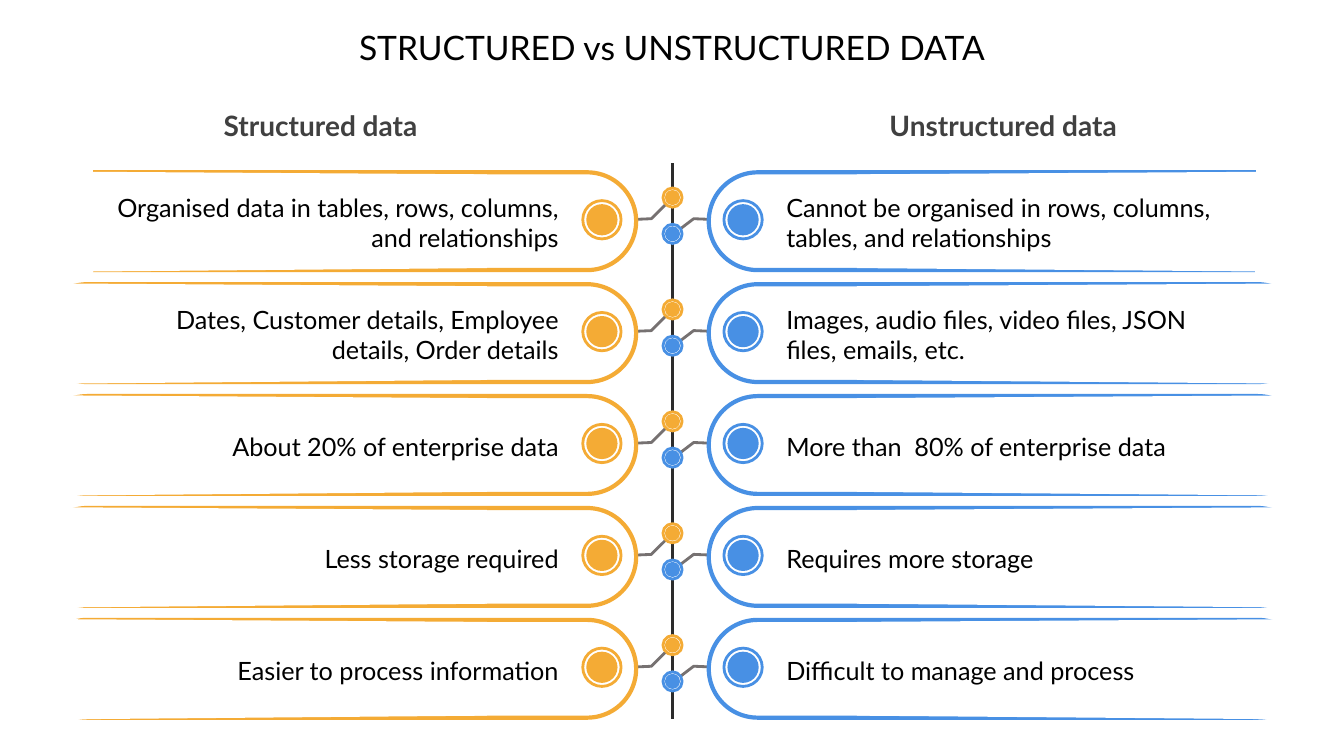
from dataclasses import dataclass

from lxml.etree import SubElement
from pptx import Presentation
from pptx.dml.color import RGBColor
from pptx.enum.shapes import MSO_CONNECTOR, MSO_SHAPE
from pptx.enum.text import MSO_ANCHOR, MSO_AUTO_SIZE, PP_ALIGN
from pptx.oxml.ns import qn
from pptx.util import Inches, Pt

WHITE, BLACK, HEADING, AXIS, ELBOW = "FFFFFF", "000000", "404040", "2C2C2C", "767171"
AXIS_X = 6.67
FIRST_CENTRE, ROW_PITCH = 2.19, 1.11


@dataclass
class Side:
    """Colour, direction and measures of one half of the comparison."""
    colour: str
    direction: int
    align: PP_ALIGN
    node_offset: float
    elbow_offset: float
    fade_inner: float
    fade_outer: float

    def span(self, near, width):
        """Return the left edge of a span that starts near inches from the axis."""
        return AXIS_X + near if self.direction > 0 else AXIS_X - near - width


STRUCTURED = Side("F4AB35", -1, PP_ALIGN.RIGHT, -0.23, -0.23, 4.83, 0.22)
UNSTRUCTURED = Side("4890E4", 1, PP_ALIGN.LEFT, 0.13, 0.14, 8.5, 13.23)

ROWS = [
    ("Organised data in tables, rows, columns, and relationships",
     "Cannot be organised in rows, columns, tables, and relationships"),
    ("Dates, Customer details, Employee details, Order details",
     "Images, audio files, video files, JSON files, emails, etc."),
    ("About 20% of enterprise data", "More than  80% of enterprise data"),
    ("Less storage required", "Requires more storage"),
    ("Easier to process information", "Difficult to manage and process"),
]


def rgb(colour):
    """Turn a hex string into a colour."""
    return RGBColor.from_string(colour)


def paint(shape, fill=None, line=None, width=2):
    """Set the fill and outline of a shape and drop its shadow."""
    shape.shadow.inherit = False
    if fill:
        shape.fill.solid()
        shape.fill.fore_color.rgb = rgb(fill)
    else:
        shape.fill.background()
    if line:
        shape.line.color.rgb = rgb(line)
        shape.line.width = Pt(width)
    else:
        shape.line.fill.background()


def write(shape, text, size=18, colour=BLACK, bold=False, align=PP_ALIGN.LEFT,
          anchor=MSO_ANCHOR.MIDDLE, spacing=None, after=None,
          fit=MSO_AUTO_SIZE.SHAPE_TO_FIT_TEXT):
    """Put one formatted paragraph into a shape."""
    frame = shape.text_frame
    frame.word_wrap = True
    frame.auto_size = fit
    frame.vertical_anchor = anchor
    paragraph = frame.paragraphs[0]
    paragraph.alignment = align
    if spacing:
        paragraph.line_spacing = spacing
    if after:
        paragraph.space_after = Pt(after)
    run = paragraph.add_run()
    run.text = text
    run.font.name = "Lato"
    run.font.size = Pt(size)
    run.font.bold = bold
    run.font.color.rgb = rgb(colour)


def add_text(slide, text, left, middle, width, height, **style):
    """Add a text box centred on a height."""
    box = slide.shapes.add_textbox(
        Inches(left), Inches(middle - height / 2), Inches(width), Inches(height))
    write(box, text, **style)


def add_circle(slide, x, y, diameter, **style):
    """Add a circle around a centre."""
    circle = slide.shapes.add_shape(
        MSO_SHAPE.OVAL, Inches(x - diameter / 2), Inches(y - diameter / 2),
        Inches(diameter), Inches(diameter))
    paint(circle, **style)


def add_target(slide, x, y, ring, core, colour):
    """Add a white ring with a coloured core."""
    add_circle(slide, x, y, ring, fill=WHITE, line=colour)
    add_circle(slide, x, y, core, fill=colour)


def add_outline(slide, points, close=False, **style):
    """Add a polygon or an open line through points."""
    start, *rest = [(Inches(x), Inches(y)) for x, y in points]
    builder = slide.shapes.build_freeform(*start)
    builder.add_line_segments(rest, close=close)
    paint(builder.convert_to_shape(), **style)


def add_axis(slide):
    """Add the vertical line between the halves."""
    axis = slide.shapes.add_connector(
        MSO_CONNECTOR.STRAIGHT, Inches(AXIS_X), Inches(1.62), Inches(AXIS_X), Inches(7.13))
    axis.line.color.rgb = rgb(AXIS)
    axis.line.width = Pt(2)
    SubElement(axis._element.spPr, qn("a:effectLst"))


def add_entry(slide, side, text, y):
    """Add one tapered capsule with its node, bullet and wording."""
    elbow = [(AXIS_X + side.direction * 0.45, y - 0.01),
             (AXIS_X + side.direction * 0.21, y - 0.02),
             (AXIS_X, y + side.elbow_offset)]
    add_outline(slide, elbow, line=ELBOW)
    add_target(slide, AXIS_X, y + side.node_offset, 0.19, 0.15, side.colour)

    capsule = slide.shapes.add_shape(
        MSO_SHAPE.ROUNDED_RECTANGLE, Inches(side.span(0.36, 5.93)), Inches(y - 0.48),
        Inches(5.93), Inches(0.97))
    capsule.adjustments[0] = 0.5
    paint(capsule, fill=WHITE, line=side.colour, width=3)
    fade = [(side.fade_outer, y - 0.49), (side.fade_inner, y - 0.46),
            (side.fade_inner, y + 0.47), (side.fade_outer, y + 0.51)]
    add_outline(slide, fade, close=True, fill=WHITE)

    add_target(slide, AXIS_X + side.direction * 0.7, y - 0.01, 0.38, 0.31, side.colour)
    height = 0.71 if len(text) > 45 else 0.4
    add_text(slide, text, side.span(1.03, 4.71), y + 0.02, 4.71, height, align=side.align)


def add_row(slide, index):
    """Add both entries of a row."""
    y = FIRST_CENTRE + index * ROW_PITCH
    structured, unstructured = ROWS[index]
    add_entry(slide, UNSTRUCTURED, unstructured, y)
    add_entry(slide, STRUCTURED, structured, y)


def add_title(slide, text):
    """Place and format the title."""
    title = slide.shapes.title
    title.left, title.top = Inches(1.32), Inches(0.22)
    title.width, title.height = Inches(10.69), Inches(0.57)
    title.fill.solid()
    title.fill.fore_color.rgb = rgb(WHITE)
    write(title, text, size=24, align=PP_ALIGN.CENTER, anchor=MSO_ANCHOR.TOP,
          fit=MSO_AUTO_SIZE.NONE)


def main():
    """Build the comparison slide."""
    deck = Presentation()
    deck.slide_width, deck.slide_height = Inches(13.33), Inches(7.5)
    slide = deck.slides.add_slide(deck.slide_layouts[5])
    add_title(slide, "STRUCTURED vs UNSTRUCTURED DATA")
    add_axis(slide)
    add_row(slide, 0)
    for left, heading in ((1.25, "Structured data"), (8.02, "Unstructured data")):
        add_text(slide, heading, left, 1.23, 3.86, 0.44, size=20, colour=HEADING,
                 bold=True, align=PP_ALIGN.CENTER, spacing=1.07, after=2)
    for trim in ([(13.33, 1.62), (12.46, 1.59), (12.41, 6.81), (13.33, 6.74)],
                 [(0.92, 1.61), (0.07, 1.62), (0.07, 6.68), (0.92, 6.73)]):
        add_outline(slide, trim, close=True, fill=WHITE)
    for index in range(1, len(ROWS)):
        add_row(slide, index)
    deck.save("out.pptx")


if __name__ == "__main__":
    main()
